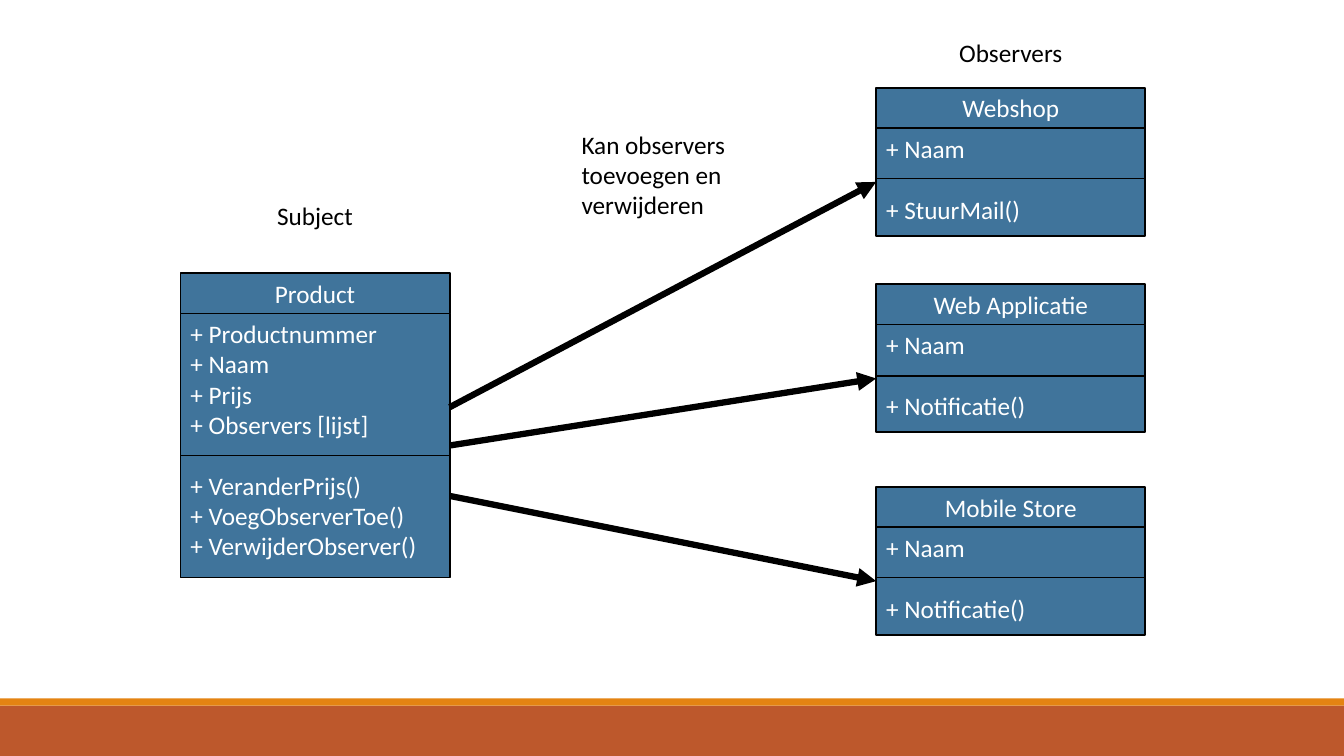
from lxml import etree
from pptx import Presentation
from pptx.dml.color import RGBColor
from pptx.enum.shapes import MSO_CONNECTOR, MSO_SHAPE
from pptx.enum.text import MSO_ANCHOR, PP_ALIGN
from pptx.oxml.ns import qn
from pptx.util import Inches, Pt

BLUE = RGBColor(0x40, 0x74, 0x9B)
RUST = RGBColor(0xBD, 0x58, 0x2C)
ORANGE = RGBColor(0xE4, 0x83, 0x12)
BLACK = RGBColor(0, 0, 0)
WHITE = RGBColor(0xFF, 0xFF, 0xFF)
RECTANGLE = MSO_SHAPE.RECTANGLE
STRAIGHT = MSO_CONNECTOR.STRAIGHT
LEFT, CENTER = PP_ALIGN.LEFT, PP_ALIGN.CENTER
TOP, MIDDLE = MSO_ANCHOR.TOP, MSO_ANCHOR.MIDDLE

BLANK_LAYOUT = 6
LEFT_SITE = 1
CLASS_WIDTH, HEADER_HEIGHT = 2.67, 0.4
SUBJECT_LEFT, OBSERVER_LEFT = 1.79, 8.69


class DiagramSlide:
    """Holds the text style and the slide being drawn."""

    font = {"name": "Calibri", "size": Pt(18)}
    section_gap = Pt(22)

    def __init__(self, slide):
        """Keep the slide to draw on."""
        self.slide = slide

    def fill_text(self, frame, sections, color, align=LEFT, anchor=TOP):
        """Set sections of lines, with a gap before each later section."""
        for name, value in {"word_wrap": True, "vertical_anchor": anchor}.items():
            setattr(frame, name, value)
        lines = [(text, number > 0 and row == 0)
                 for number, section in enumerate(sections)
                 for row, text in enumerate(section)]
        for index, (text, opens_section) in enumerate(lines):
            paragraph = frame.add_paragraph() if index else frame.paragraphs[0]
            paragraph.text = text
            paragraph.alignment = align
            if opens_section:
                paragraph.space_before = self.section_gap
            for name, value in self.font.items():
                setattr(paragraph.font, name, value)
            paragraph.font.color.rgb = color

    def box(self, parent, left, top, width, height, fill, outlined=True):
        """Add a filled rectangle to the slide or to a group."""
        box = parent.shapes.add_shape(
            RECTANGLE, Inches(left), Inches(top), Inches(width), Inches(height))
        box.shadow.inherit = False
        box.fill.solid()
        box.fill.fore_color.rgb = fill
        if outlined:
            box.line.color.rgb = BLACK
            box.line.width = Pt(1.25)
        else:
            box.line.fill.background()
        return box

    def label(self, text, left, top, width, height, align=LEFT):
        """Add a black text label."""
        label = self.slide.shapes.add_textbox(
            Inches(left), Inches(top), Inches(width), Inches(height))
        self.fill_text(label.text_frame, [[text]], BLACK, align)

    def line(self, start, end, weight, arrow=False):
        """Add a straight black line, with an arrowhead if wanted."""
        line = self.slide.shapes.add_connector(
            STRAIGHT, *(Inches(value) for value in (*start, *end)))
        line.line.color.rgb = BLACK
        line.line.width = Pt(weight)
        if arrow:
            outline = line._element.spPr.find(qn("a:ln"))
            etree.SubElement(outline, qn("a:tailEnd"), type="triangle")
        etree.SubElement(line._element.spPr, qn("a:effectLst"))
        return line

    def class_box(self, name, sections, left, top, body_height, divider_y):
        """Add a class with its header, members and divider; return its body."""
        group = self.slide.shapes.add_group_shape()
        body = self.box(group, left, top + HEADER_HEIGHT, CLASS_WIDTH, body_height, BLUE)
        self.fill_text(body.text_frame, sections, WHITE)
        header = self.box(group, left, top, CLASS_WIDTH, HEADER_HEIGHT, BLUE)
        self.fill_text(header.text_frame, [[name]], WHITE, CENTER, MIDDLE)
        self.line((left, divider_y), (left + CLASS_WIDTH, divider_y), 1)
        return body


def main():
    """Build the observer pattern slide."""
    deck = Presentation()
    deck.slide_width, deck.slide_height = Inches(13.33), Inches(7.5)
    slide = deck.slides.add_slide(deck.slide_layouts[BLANK_LAYOUT])
    diagram = DiagramSlide(slide)

    for top, height, color in ((7, 0.5, RUST), (6.93, 0.07, ORANGE)):
        diagram.box(slide, 0, top, 13.33, height, color, outlined=False)

    attributes = ["+ Productnummer", "+ Naam", "+ Prijs", "+ Observers [lijst]"]
    methods = ["+ VeranderPrijs()", "+ VoegObserverToe()", "+ VerwijderObserver()"]
    diagram.class_box("Product", [attributes, methods], SUBJECT_LEFT, 2.71, 2.62, 4.52)

    observers = (
        ("Webshop", "+ StuurMail()", 0.87, 1.77, 4.04),
        ("Web Applicatie", "+ Notificatie()", 2.82, 3.73, 4.42),
        ("Mobile Store", "+ Notificatie()", 4.83, 5.73, 4.92),
    )
    subject_right = SUBJECT_LEFT + CLASS_WIDTH
    for name, method, top, divider_y, arrow_y in observers:
        body = diagram.class_box(
            name, [["+ Naam"], [method]], OBSERVER_LEFT, top, 1.07, divider_y)
        arrow = diagram.line(
            (subject_right, arrow_y), (OBSERVER_LEFT, divider_y), 4.5, arrow=True)
        arrow.end_connect(body, LEFT_SITE)

    diagram.label("Subject", SUBJECT_LEFT, 1.94, CLASS_WIDTH, 0.4, CENTER)
    diagram.label("Observers", OBSERVER_LEFT, 0.32, CLASS_WIDTH, 0.4, CENTER)
    diagram.label("Kan observers toevoegen en verwijderen", 5.67, 1.23, 1.8, 1.01)

    deck.save("out.pptx")


main()
